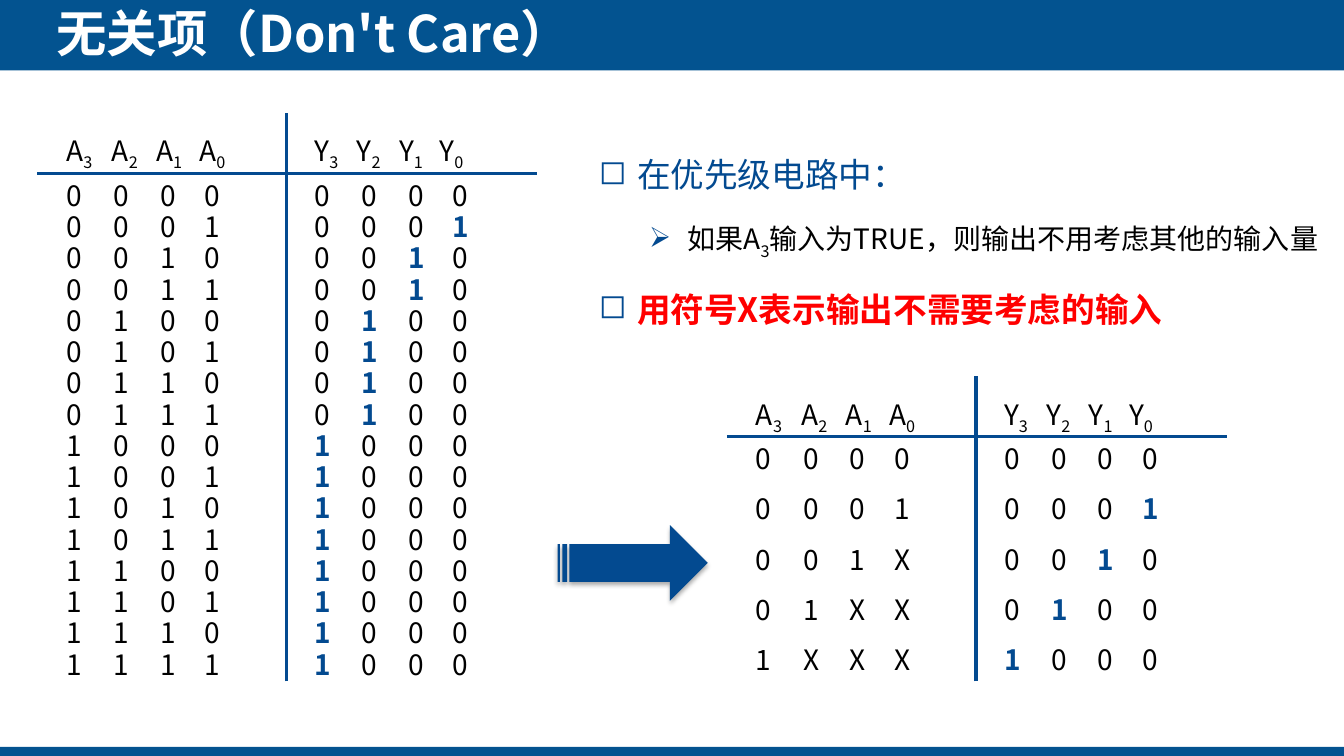
import dataclasses

import lxml.etree
import pptx
import pptx.dml.color
import pptx.enum.shapes
import pptx.enum.text
import pptx.oxml.ns
import pptx.util

PX = 9144  # EMU: one px is a hundredth of an inch
FONT = "Noto Sans CJK SC"
BAR_BLUE = pptx.dml.color.RGBColor(0x03, 0x53, 0x90)
BLUE = pptx.dml.color.RGBColor(0x03, 0x4A, 0x90)
RED = pptx.dml.color.RGBColor(0xFF, 0x00, 0x00)
BLACK = pptx.dml.color.RGBColor(0x00, 0x00, 0x00)
WHITE = pptx.dml.color.RGBColor(0xFF, 0xFF, 0xFF)

DIGIT_STOPS = (47, 93, 137)
INPUT_STOPS = (45, 89, 132)
OUTPUT_STOPS = (42, 84, 124)


@dataclasses.dataclass(frozen=True)
class TruthTable:
    left: int
    rule_y: int
    row_pitch: int
    inputs: tuple[str, ...]


@dataclasses.dataclass(frozen=True)
class Point:
    wording: tuple[str, ...]  # every second piece is a subscript
    bullet: str
    indent: int
    level: int
    size: int
    color: pptx.dml.color.RGBColor
    bold: bool = False


TABLES = (
    TruthTable(37, 172, 31, tuple(f"{n:04b}" for n in range(16))),
    TruthTable(721, 433, 50, ("0000", "0001", "001X", "01XX", "1XXX")),
)
POINTS = (
    Point(("在优先级电路中：",), "◻", 38, 0, 24, BLUE),
    Point(("如果A", "3", "输入为TRUE，则输出不用考虑其他的输入量"), "➢", 88, 1, 20, BLACK),
    Point(("用符号X表示输出不需要考虑的输入",), "◻", 38, 0, 24, RED, True),
)


def px(length: int) -> pptx.util.Emu:
    return pptx.util.Emu(length * PX)


def box(left: int, top: int, width: int, height: int) -> tuple[pptx.util.Emu, ...]:
    return px(left), px(top), px(width), px(height)


def add_xml(parent, tag: str, **attributes: str):
    return lxml.etree.SubElement(parent, pptx.oxml.ns.qn(tag), attributes)


def set_font(paragraph, size: int, color, bold: bool = False) -> None:
    font = paragraph.font
    font.size, font.bold, font.name = pptx.util.Pt(size), bold, FONT
    font.color.rgb = color
    defaults = paragraph._p.get_or_add_pPr().find(pptx.oxml.ns.qn("a:defRPr"))
    add_xml(defaults, "a:ea", typeface=FONT)


def add_run(paragraph, text: str, subscript: bool = False):
    run = paragraph.add_run()
    run.text = text
    if subscript:
        run._r.get_or_add_rPr().set("baseline", "-25000")
    return run


def add_shape(shapes, kind, area: tuple, color):
    shape = shapes.add_shape(kind, *area)
    shape.shadow.inherit = False
    shape.fill.solid()
    shape.fill.fore_color.rgb = color
    shape.line.fill.background()
    return shape


def add_line(shapes, x1: int, y1: int, x2: int, y2: int) -> None:
    line = shapes.add_connector(
        pptx.enum.shapes.MSO_CONNECTOR.STRAIGHT, px(x1), px(y1), px(x2), px(y2))
    line.line.color.rgb = BLUE
    line.line.width = pptx.util.Pt(2.25)
    add_xml(line._element.spPr, "a:effectLst")


def add_row(shapes, left: int, top: int, stops: tuple[int, ...]):
    """Adds a one-line text box with a tab stop for each later column."""
    frame = shapes.add_textbox(*box(left, top, 214, 44)).text_frame
    frame.word_wrap = True
    row = frame.paragraphs[0]
    tabs = add_xml(row._p.get_or_add_pPr(), "a:tabLst")
    for stop in stops:
        add_xml(tabs, "a:tab", pos=str(px(stop)), algn="l")
    set_font(row, 20, BLACK)
    return row


def add_heading(shapes, left: int, top: int, letter: str, stops: tuple[int, ...]) -> None:
    row = add_row(shapes, left, top, stops)
    for index in "3210":
        add_run(row, letter if index == "3" else "\t" + letter)
        add_run(row, index, subscript=True)


def add_truth_table(slide, table: TruthTable) -> None:
    shapes = slide.shapes.add_group_shape().shapes
    input_left, output_left = table.left + 19, table.left + 265
    divider_x = table.left + 247
    add_line(shapes, table.left, table.rule_y, table.left + 496, table.rule_y)
    add_line(shapes, divider_x, 676, divider_x, table.rule_y - 60)
    add_heading(shapes, input_left, table.rule_y - 44, "A", INPUT_STOPS)
    add_heading(shapes, output_left, table.rule_y - 44, "Y", OUTPUT_STOPS)
    for number, inputs in enumerate(table.inputs):
        top = table.rule_y + number * table.row_pitch
        add_run(add_row(shapes, input_left, top, DIGIT_STOPS), "\t".join(inputs))
        # Only the output of the highest active input is 1
        output_row = add_row(shapes, output_left, top, DIGIT_STOPS)
        active = inputs.find("1")
        for column in range(4):
            if column:
                add_run(output_row, "\t")
            digit = add_run(output_row, "1" if column == active else "0")
            if column == active:
                digit.font.bold = True
                digit.font.color.rgb = BLUE


def add_points(slide) -> None:
    frame = slide.shapes.add_textbox(*box(584, 128, 748, 191)).text_frame
    frame.word_wrap = True
    for number, point in enumerate(POINTS):
        paragraph = frame.add_paragraph() if number else frame.paragraphs[0]
        paragraph.level = point.level
        properties = paragraph._p.get_or_add_pPr()
        properties.set("marL", str(px(point.indent)))
        properties.set("indent", str(px(-38)))
        add_xml(add_xml(properties, "a:buClr"), "a:srgbClr", val=str(BLUE))
        add_xml(properties, "a:buChar", char=point.bullet)
        paragraph.line_spacing = 1.5
        paragraph.space_after = pptx.util.Pt(6)
        set_font(paragraph, point.size, point.color, point.bold)
        for index, piece in enumerate(point.wording):
            add_run(paragraph, piece, subscript=index % 2 == 1)


def add_title(slide) -> None:
    title = slide.shapes.title
    title.left, title.top, title.width, title.height = box(56, 2, 857, 61)
    frame = title.text_frame
    frame.text = "无关项（Don't Care）"
    frame.auto_size = pptx.enum.text.MSO_AUTO_SIZE.NONE
    frame.vertical_anchor = pptx.enum.text.MSO_ANCHOR.MIDDLE
    frame.margin_left = frame.margin_top = frame.margin_right = frame.margin_bottom = 0
    frame.paragraphs[0].alignment = pptx.enum.text.PP_ALIGN.LEFT
    set_font(frame.paragraphs[0], 36, WHITE, bold=True)
    # Bring the title in front of the bar
    slide.shapes.element.append(title.element)


def add_arrow(slide) -> None:
    arrow = add_shape(slide.shapes, pptx.enum.shapes.MSO_SHAPE.STRIPED_RIGHT_ARROW,
                      box(553, 521, 149, 75), BLUE)
    effects = arrow._element.spPr.find(pptx.oxml.ns.qn("a:effectLst"))
    shadow = add_xml(effects, "a:outerShdw", blurRad=str(pptx.util.Pt(3.5)),
                     dist=str(pptx.util.Pt(2.2)), dir="5400000", rotWithShape="0")
    add_xml(add_xml(shadow, "a:srgbClr", val=str(BLACK)), "a:alpha", val="32000")


def main() -> None:
    deck = pptx.Presentation()
    deck.slide_width, deck.slide_height = px(1333), px(750)
    slide = deck.slides.add_slide(deck.slide_layouts[5])

    # Bars and title
    for top, height in ((-3, 73), (741, 10)):
        add_shape(slide.shapes, pptx.enum.shapes.MSO_SHAPE.RECTANGLE,
                  box(0, top, 1333, height), BAR_BLUE)
    add_title(slide)

    # Full table, explanation and shortened table
    full_table, short_table = TABLES
    add_truth_table(slide, full_table)
    add_points(slide)
    add_truth_table(slide, short_table)
    add_arrow(slide)
    deck.save("out.pptx")


if __name__ == "__main__":
    main()
